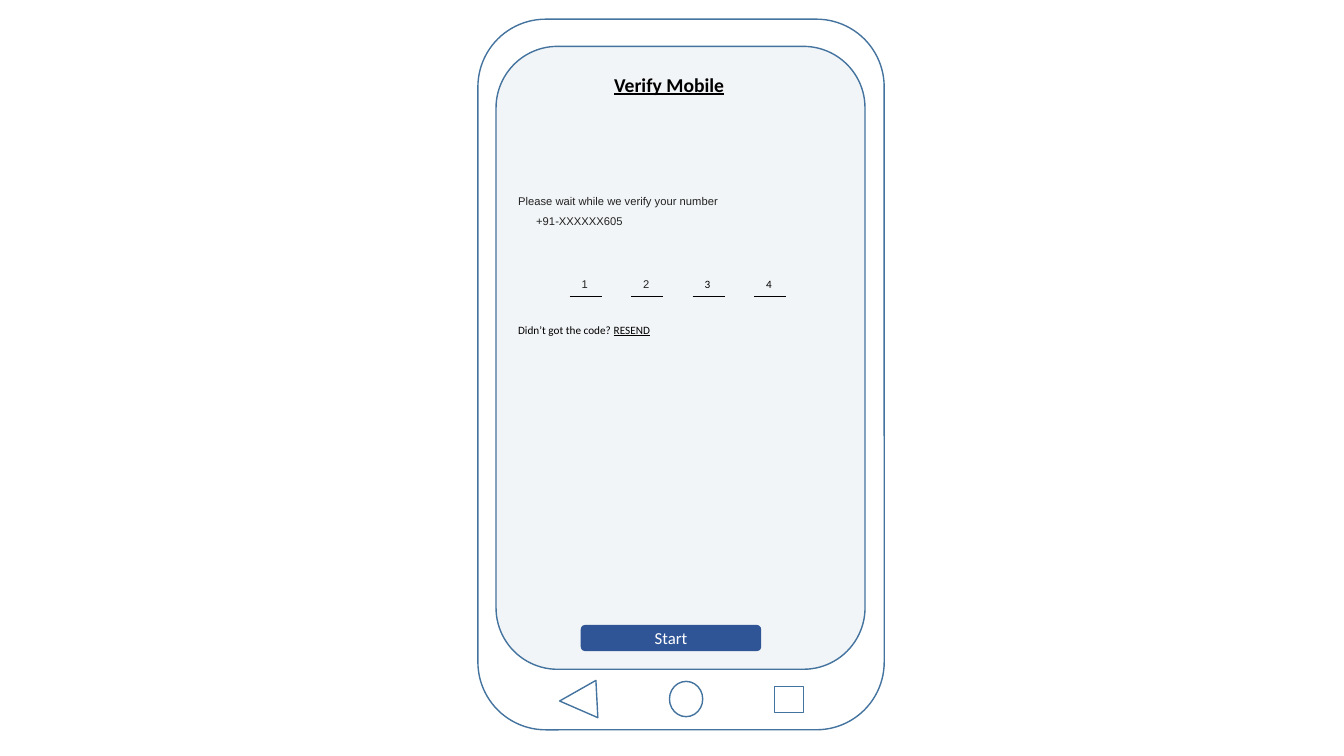
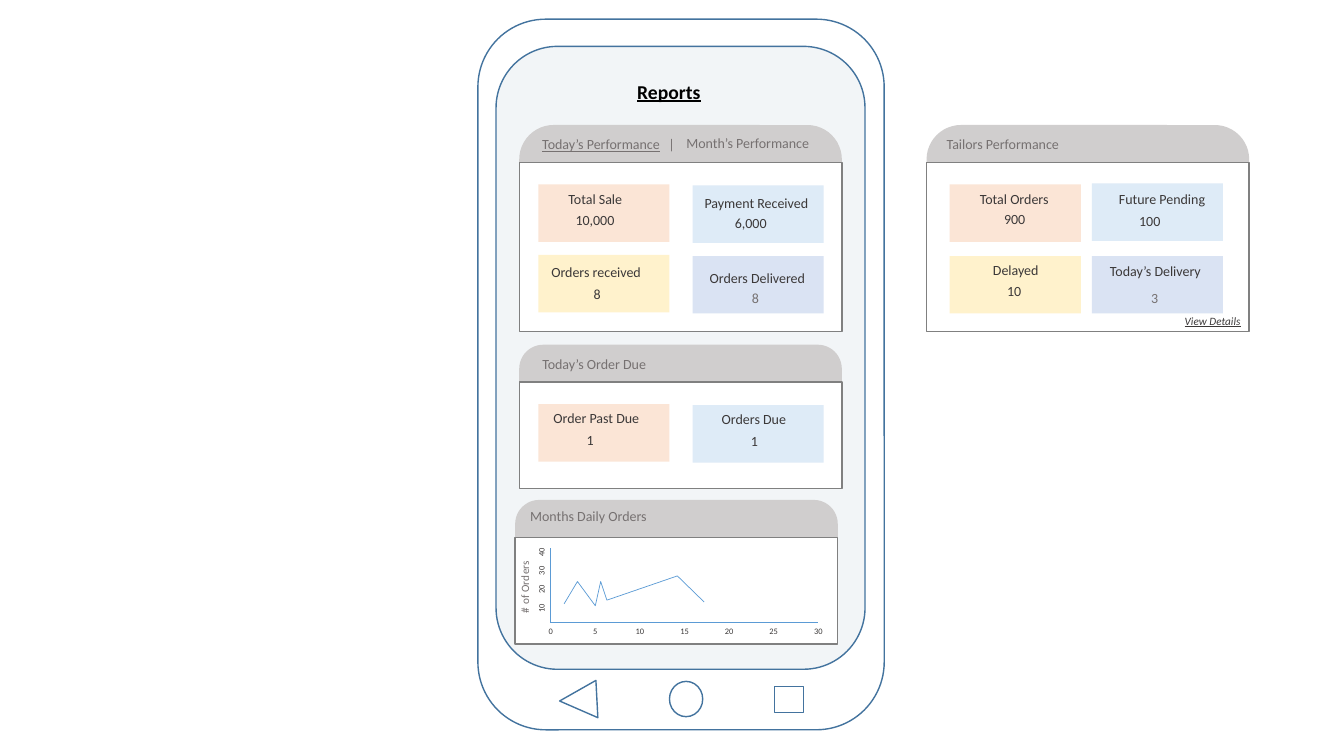
"""Build two mobile app mock-up slides: code verification and reports."""
from pptx import Presentation
from pptx.chart.data import XyChartData
from pptx.dml.color import RGBColor
from pptx.enum import chart as ch, shapes, text
from pptx.oxml import parse_xml
from pptx.oxml.ns import nsdecls, qn
from pptx.util import Inches, Pt

COLORS = {
    "frame": "43739E", "screen": "F2F5F7", "button": "2F5597", "white": "FFFFFF",
    "black": "000000", "ink": "222222", "dark": "3B3838", "muted": "767171",
    "header": "D0CECE", "border": "808080", "chart": "5B9BD5",
    "peach": "FBE5D6", "sky": "DEEBF7", "cream": "FFF2CC", "lilac": "DAE3F3",
}
SHAPE = shapes.MSO_SHAPE
CARD_W, HEADER_H = 3.2, 0.37
TILE_W, TILE_H = 1.3, 0.57


def color(name):
    """Return the named colour."""
    return RGBColor.from_string(COLORS[name])


def style_font(font, size, tint, face="Calibri"):
    """Set size, colour and face of a font."""
    font.size, font.name = Pt(size), face
    font.color.rgb = color(tint)


def add_run(p, words, size, tint, face="Calibri", bold=None, italic=None, underline=None):
    """Add one formatted run to a paragraph."""
    r = p.add_run()
    r.text = words
    style_font(r.font, size, tint, face)
    r.font.bold, r.font.italic, r.font.underline = bold, italic, underline


def add_label(s, x, y, w, words, size=10, tint="dark", **look):
    """Add a one-line text box and return its paragraph."""
    tf = s.shapes.add_textbox(Inches(x), Inches(y), Inches(w), Inches(0.27)).text_frame
    tf.word_wrap = True
    p = tf.paragraphs[0]
    add_run(p, words, size, tint, **look)
    return p


def add_box(owner, kind, x, y, w, h, fill=None, line=None):
    """Add a preset shape with optional fill and outline."""
    sp = owner.shapes.add_shape(kind, Inches(x), Inches(y), Inches(w), Inches(h))
    sp.shadow.inherit = False
    if fill:
        sp.fill.solid()
        sp.fill.fore_color.rgb = color(fill)
    else:
        sp.fill.background()
    if line:
        sp.line.color.rgb = color(line)
        sp.line.width = Pt(1)
    else:
        sp.line.fill.background()
    return sp


def add_rule(s, x, y, length):
    """Add a thin horizontal black line."""
    rule = s.shapes.add_connector(shapes.MSO_CONNECTOR.STRAIGHT, Inches(x), Inches(y),
                                  Inches(x + length), Inches(y))
    rule.line.color.rgb = color("black")
    rule.line.width = Pt(0.75)
    rule.element.spPr.append(parse_xml(f"<a:effectLst {nsdecls('a')}/>"))


def add_phone(s):
    """Draw the phone body, screen and navigation keys as a group."""
    phone = s.shapes.add_group_shape()
    add_box(phone, SHAPE.ROUNDED_RECTANGLE, 4.74, 0.19, 4.03, 7.05, line="frame")
    add_box(phone, SHAPE.ROUNDED_RECTANGLE, 4.92, 0.46, 3.66, 6.18, "screen", "frame")
    back = add_box(phone, SHAPE.FLOWCHART_MERGE, 5.55, 6.76, 0.37, 0.37, line="frame")
    back.rotation = 87
    add_box(phone, SHAPE.OVAL, 6.64, 6.76, 0.33, 0.35, line="frame")
    add_box(phone, SHAPE.RECTANGLE, 7.68, 6.81, 0.29, 0.26, line="frame")


def add_screen(prs, title, x, y, w):
    """Add a slide with the phone and its underlined screen title."""
    s = prs.slides.add_slide(prs.slide_layouts[5])
    add_phone(s)
    sp = s.shapes.title
    sp.element.getparent().append(sp.element)
    sp.left, sp.top, sp.width, sp.height = Inches(x), Inches(y), Inches(w), Inches(0.34)
    tf = sp.text_frame
    tf.word_wrap = True
    tf.auto_size = text.MSO_AUTO_SIZE.NONE
    tf.vertical_anchor = text.MSO_ANCHOR.TOP
    p = tf.paragraphs[0]
    p.alignment = text.PP_ALIGN.LEFT
    add_run(p, title, 14, "black", bold=True, underline=True)
    return s


def add_card(s, x, y, h):
    """Add a card with a rounded grey header and a white body."""
    add_box(s, SHAPE.ROUNDED_RECTANGLE, x, y, CARD_W, h, "header")
    add_box(s, SHAPE.RECTANGLE, x, y + HEADER_H, CARD_W, h - HEADER_H, "white", "border")


def add_tile(s, x, y, fill, label, label_at, value, value_at, tint="dark"):
    """Add a coloured tile with a label and a figure placed inside it."""
    add_box(s, SHAPE.RECTANGLE, x, y, TILE_W, TILE_H, fill)
    add_label(s, *label_at, TILE_W, label)
    add_label(s, *value_at, 0.8, value, tint=tint)


def set_layout(parent, index, target="", **edges):
    """Give a chart part a manual layout in fractions of the chart."""
    old = parent.find(qn("c:layout"))
    if old is not None:
        parent.remove(old)
    inner = f'<c:layoutTarget val="{target}"/>' if target else ""
    modes = '<c:xMode val="edge"/><c:yMode val="edge"/>'
    sizes = "".join(f'<c:{key} val="{val}"/>' for key, val in edges.items())
    parent.insert(index, parse_xml(
        f"<c:layout {nsdecls('c')}><c:manualLayout>{inner}{modes}{sizes}"
        "</c:manualLayout></c:layout>"))


def style_axis(axis, top, step, number_format):
    """Set scale, line and tick labels of a chart axis."""
    axis.minimum_scale, axis.maximum_scale, axis.major_unit = 0, top, step
    axis.has_major_gridlines = False
    axis.major_tick_mark = axis.minor_tick_mark = ch.XL_TICK_MARK.NONE
    axis.format.line.color.rgb = color("chart")
    axis.format.line.width = Pt(0.5)
    axis.tick_labels.number_format = number_format
    axis.tick_labels.number_format_is_linked = False
    style_font(axis.tick_labels.font, 6, "dark")


def add_orders_chart(s, x, y, w, h):
    """Add the line chart of daily orders."""
    data = XyChartData()
    orders = data.add_series("# of Orders")
    for day, count in [(1.5, 10), (3, 22), (5, 9), (5.6, 22), (6.3, 12), (14.2, 25), (17.2, 11)]:
        orders.add_data_point(day, count)
    chart = s.shapes.add_chart(ch.XL_CHART_TYPE.XY_SCATTER_LINES_NO_MARKERS,
                               Inches(x), Inches(y), Inches(w), Inches(h), data).chart
    chart.has_legend = chart.has_title = False
    style_font(chart.font, 6, "dark")
    plot = chart.plots[0]
    plot.vary_by_categories = False
    series = plot.series[0]
    series.smooth = False
    series.marker.style = ch.XL_MARKER_STYLE.NONE
    series.format.line.color.rgb = color("chart")
    series.format.line.width = Pt(0.5)
    style_axis(chart.category_axis, 30, 5, "0")
    axis = chart.value_axis
    style_axis(axis, 40, 10, "0;;;")
    title = axis.axis_title
    p = title.text_frame.paragraphs[0]
    add_run(p, "# of Orders", 8, "muted", bold=False)
    for body in axis._element.iter(qn("a:bodyPr")):
        body.set("rot", "-5400000")
        body.set("vert", "horz")
    set_layout(title._element, 1, x=0, y=0.2)
    set_layout(chart._chartSpace.chart.plotArea, 0, "inner", x=0.11, y=0.1, w=0.83, h=0.7)


def build_verify(prs):
    """Build the code verification screen."""
    s = add_screen(prs, "Verify Mobile", 5.99, 0.67, 1.5)
    add_label(s, 5.04, 1.88, 2.4, "Please wait while we verify your number", 8, "ink", face="Arial")
    add_label(s, 5.22, 2.08, 1.3, "+91-XXXXXX605", 8, "ink", face="Arial")
    faces = [("Arial", "ink")] * 2 + [("Calibri", "black")] * 2
    for i, (face, tint) in enumerate(faces):
        x = 5.65 + 0.61 * i
        add_rule(s, x, 2.94, 0.32)
        add_label(s, x + 0.02, 2.7, 0.3, str(i + 1), 8, tint, face=face)
    p = add_label(s, 5.04, 3.16, 1.8, "Didn’t got the code? ", 8, "black")
    add_run(p, "RESEND", 8, "black", underline=True)
    button = add_box(s, SHAPE.ROUNDED_RECTANGLE, 5.76, 6.2, 1.79, 0.26, "button")
    tf = button.text_frame
    tf.vertical_anchor = text.MSO_ANCHOR.MIDDLE
    p = tf.paragraphs[0]
    p.alignment = text.PP_ALIGN.CENTER
    add_run(p, "Start", 12, "white")


def build_reports(prs):
    """Build the reports screen with the tailors card beside it."""
    s = add_screen(prs, "Reports", 6.22, 0.74, 1.85)
    for x, y, h in [(5.15, 1.24, 2.05), (5.15, 3.42, 1.43), (5.11, 4.96, 1.43), (9.19, 1.24, 2.05)]:
        add_card(s, x, y, h)
    add_label(s, 5.28, 1.3, 1.5, "Today’s Performance", tint="muted", underline=True)
    for x, y, w, words in [
        (6.53, 1.3, 0.3, "|"),
        (6.71, 1.29, 1.82, "Month’s Performance"),
        (5.28, 3.48, 1.82, "Today’s Order Due"),
        (5.16, 4.99, 1.82, "Months Daily Orders"),
        (9.29, 1.3, 1.82, "Tailors Performance"),
    ]:
        add_label(s, x, y, w, words, tint="muted")
    for tile in [
        (5.34, 1.83, "peach", "Total Sale", (5.54, 1.84), "10,000", (5.61, 2.05)),
        (6.87, 1.84, "sky", "Payment Received", (6.89, 1.88), "6,000", (7.19, 2.08)),
        (5.34, 2.53, "cream", "Orders received", (5.37, 2.57), "8", (5.79, 2.78)),
        (6.87, 2.54, "lilac", "Orders Delivered", (6.94, 2.62), "8", (7.36, 2.82), "muted"),
        (5.34, 4.01, "peach", "Order Past Due", (5.39, 4.01), "1", (5.72, 4.23)),
        (6.87, 4.02, "sky", "Orders Due", (7.06, 4.02), "1", (7.35, 4.24)),
        (9.42, 1.83, "peach", "Total Orders", (9.62, 1.84), "900", (9.86, 2.04)),
        (10.83, 1.82, "sky", "Future Pending", (11, 1.84), "100", (11.2, 2.06)),
        (9.42, 2.54, "cream", "Delayed", (9.75, 2.55), "10", (9.89, 2.75)),
        (10.83, 2.54, "lilac", "Today’s Delivery", (10.91, 2.56), "3", (11.32, 2.82), "muted"),
    ]:
        add_tile(s, *tile)
    add_label(s, 11.65, 3.07, 0.95, "View Details", 8, italic=True, underline=True)
    add_orders_chart(s, 5.11, 5.33, CARD_W, 1.06)


def main():
    """Create and save the presentation."""
    prs = Presentation()
    prs.slide_width, prs.slide_height = Inches(13.33), Inches(7.5)
    build_verify(prs)
    build_reports(prs)
    prs.save("out.pptx")


if __name__ == "__main__":
    main()
